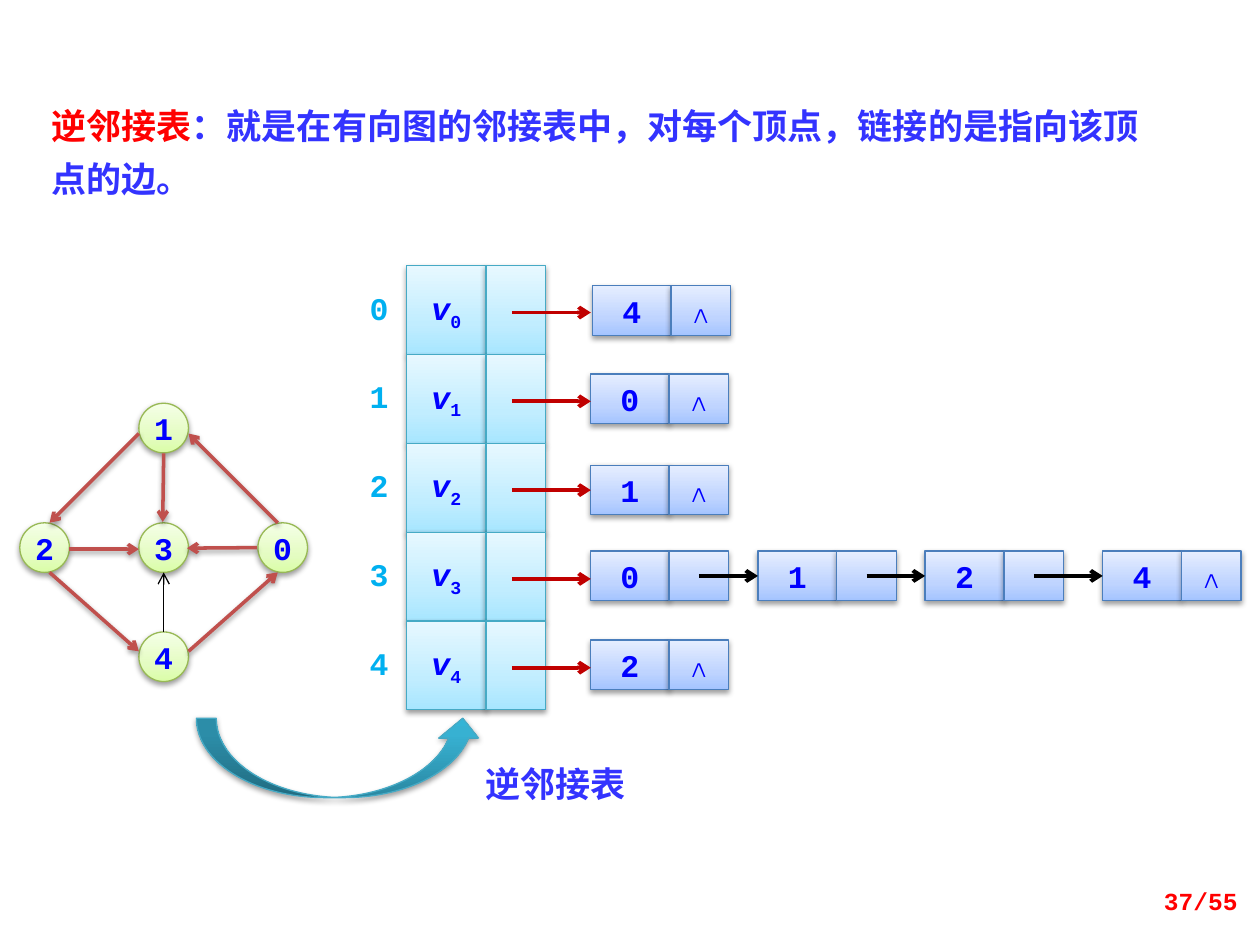
from copy import deepcopy
from dataclasses import dataclass

from lxml.etree import SubElement
from pptx import Presentation
from pptx.dml.color import RGBColor
from pptx.enum.shapes import MSO_CONNECTOR, MSO_SHAPE
from pptx.enum.text import MSO_ANCHOR, PP_ALIGN
from pptx.oxml import parse_xml
from pptx.oxml.ns import qn
from pptx.util import Cm, Pt


@dataclass(frozen=True)
class Theme:
    code_font: str = "Courier New"
    text_font: str = "Noto Sans CJK SC"
    text_size: int = 20
    code_size: int = 18
    page_size: int = 14
    red: str = "FF0000"
    text_blue: str = "3333FF"
    code_blue: str = "0000FF"
    index_blue: str = "00B0F0"
    edge: str = "C0504D"
    pointer: str = "C00000"
    black: str = "000000"
    # Each style is a line colour followed by (position, colour) gradient stops.
    green: tuple = ("98B955", (0, "DAFDA7"), (0.35, "E4FCC2"), (1, "F5FFE7"))
    blue: tuple = ("4B7EBC", (0, "A4C4FF"), (0.35, "BFD4FF"), (1, "E6EEFF"))
    cyan: tuple = ("46AAC5", (0, "A7E6FF"), (0.35, "C1EDFF"), (1, "E7F8FF"))
    teal: tuple = ("46AAC5", (0, "2A88A2"), (0.8, "37B1D2"), (1, "34B4D6"))
    shadow: str = (
        '<a:outerShdw xmlns:a="http://schemas.openxmlformats.org/drawingml/2006/main"'
        ' blurRad="40000" dist="20000" dir="5400000" rotWithShape="0">'
        '<a:srgbClr val="000000"><a:alpha val="38000"/></a:srgbClr></a:outerShdw>'
    )


theme = Theme()
presentation = Presentation()
presentation.slide_width, presentation.slide_height = Cm(25.4), Cm(19.05)
slide = presentation.slides.add_slide(presentation.slide_layouts[6])


def add_box(left, top, width, height, runs=(), kind=None, style=None,
            font=theme.code_font, size=theme.code_size, align=PP_ALIGN.CENTER):
    """Add a shaded shape, or a text box if kind is None; runs are (text, colour) pairs."""
    place = Cm(left), Cm(top), Cm(width), Cm(height)
    if kind is None:
        shape = slide.shapes.add_textbox(*place)
    else:
        shape = slide.shapes.add_shape(kind, *place)
        line_colour, *stops = style
        shape.fill.gradient()
        shape.fill.gradient_angle = 90
        stop_list = shape._element.spPr.find(".//" + qn("a:gsLst"))
        stop_list.append(deepcopy(stop_list[0]))
        for stop, (position, colour) in zip(shape.fill.gradient_stops, stops):
            stop.position = position
            stop.color.rgb = RGBColor.from_string(colour)
        shape.line.color.rgb = RGBColor.from_string(line_colour)
        shape.line.width = Pt(0.75)
        shape.shadow.inherit = False
        shape._element.spPr.find(qn("a:effectLst")).append(parse_xml(theme.shadow))
        shape.text_frame.vertical_anchor = MSO_ANCHOR.MIDDLE
    shape.text_frame.word_wrap = kind is None
    paragraph = shape.text_frame.paragraphs[0]
    paragraph.alignment = align
    for text, colour in runs:
        run = paragraph.add_run()
        run.text = text
        run.font.name, run.font.size, run.font.bold = font, Pt(size), True
        run.font.color.rgb = RGBColor.from_string(colour)
        SubElement(run._r.get_or_add_rPr(), qn("a:ea"), typeface=font)
    return shape


def add_arrow(start, end, colour, width, shaded=False):
    connector = slide.shapes.add_connector(
        MSO_CONNECTOR.STRAIGHT, *(Cm(length) for length in (*start, *end)))
    connector.line.color.rgb = RGBColor.from_string(colour)
    connector.line.width = Pt(width)
    SubElement(connector.line._get_or_add_ln(), qn("a:tailEnd"), type="arrow")
    effects = SubElement(connector._element.spPr, qn("a:effectLst"))
    if shaded:
        effects.append(parse_xml(theme.shadow))


# Directed graph
vertices = {"1": (2.8, 8.13), "3": (2.8, 10.54), "2": (0.4, 10.54),
            "0": (5.2, 10.54), "4": (2.8, 12.74)}
for label, (left, top) in vertices.items():
    add_box(left, top, 1, 1, [(label, theme.code_blue)], MSO_SHAPE.OVAL, theme.green)

edges = [
    ((2.8, 8.74), (1, 10.54)),
    ((5.6, 10.54), (3.8, 8.74)),
    ((1.4, 11.07), (2.8, 11.07)),
    ((5.18, 11.04), (3.77, 11.05)),
    ((3.3, 9.14), (3.28, 10.52)),
    ((1, 11.54), (2.8, 13.13)),
    ((3.8, 13.13), (5.6, 11.54)),
]
for start, end in edges:
    add_arrow(start, end, theme.edge, 2, shaded=True)
add_arrow((3.3, 12.74), (3.3, 11.54), theme.black, 0.75)

# Definition
definition = add_box(
    0.79, 1.78, 23.01, 2.39,
    [("逆邻接表", theme.red),
     ("：就是在有向图的邻接表中，对每个顶点，链接的是指向该顶点的边。", theme.text_blue)],
    font=theme.text_font, size=theme.text_size, align=PP_ALIGN.LEFT)
definition.text_frame.paragraphs[0].line_spacing = Pt(30)

# Linked nodes: top of each list, then the left edge and label of its nodes
data_width, link_width, node_height = 1.59, 1.2, 1
linked_lists = [
    (5.76, [(11.94, "4")]),
    (7.54, [(11.9, "0")]),
    (9.38, [(11.9, "1")]),
    (11.11, [(11.9, "0"), (15.28, "1"), (18.65, "2"), (22.23, "4")]),
    (12.9, [(11.9, "2")]),
]
for top, nodes in linked_lists:
    for left, label in nodes:
        is_last = label == nodes[-1][1]
        add_box(left, top, data_width, node_height, [(label, theme.code_blue)],
                MSO_SHAPE.RECTANGLE, theme.blue)
        add_box(left + data_width, top, link_width, node_height,
                [("∧", theme.code_blue)] if is_last else (),
                MSO_SHAPE.RECTANGLE, theme.blue)
    for (left, _), (next_left, _) in zip(nodes, nodes[1:]):
        middle = top + node_height / 2
        add_arrow((left + data_width + link_width / 2, middle), (next_left, middle),
                  theme.black, 2.25)

# Head array
row_height = 1.79
for row in range(5):
    top = 5.36 + row * row_height
    vertex = add_box(8.2, top, 1.6, row_height,
                     [("v", theme.code_blue), (str(row), theme.code_blue)],
                     MSO_SHAPE.RECTANGLE, theme.cyan)
    name, subscript = vertex.text_frame.paragraphs[0].runs
    name.font.italic = True
    subscript._r.get_or_add_rPr().set("baseline", "-25000")
    add_box(9.8, top, 1.2, row_height, (), MSO_SHAPE.RECTANGLE, theme.cyan)
    index = add_box(7.14, top + 0.46, 1, 0.76, [(str(row), theme.index_blue)]).text_frame
    index.margin_left = index.margin_right = index.margin_top = index.margin_bottom = 0
    add_arrow((10.32, top + 0.94), (11.91, top + 0.94), theme.pointer, 2.25)

# Caption and page number
add_box(3.96, 14.48, 5.77, 1.6, (), MSO_SHAPE.CURVED_UP_ARROW, theme.teal)
add_box(9.53, 15.24, 3.76, 1.12, [("逆邻接表", theme.text_blue)],
        font=theme.text_font, size=theme.text_size, align=PP_ALIGN.LEFT)
page_number = add_box(19.28, 17.65, 5.92, 1.02, [("37/55", theme.red)],
                      size=theme.page_size, align=PP_ALIGN.RIGHT)
page_number.text_frame.vertical_anchor = MSO_ANCHOR.MIDDLE

presentation.save("out.pptx")
